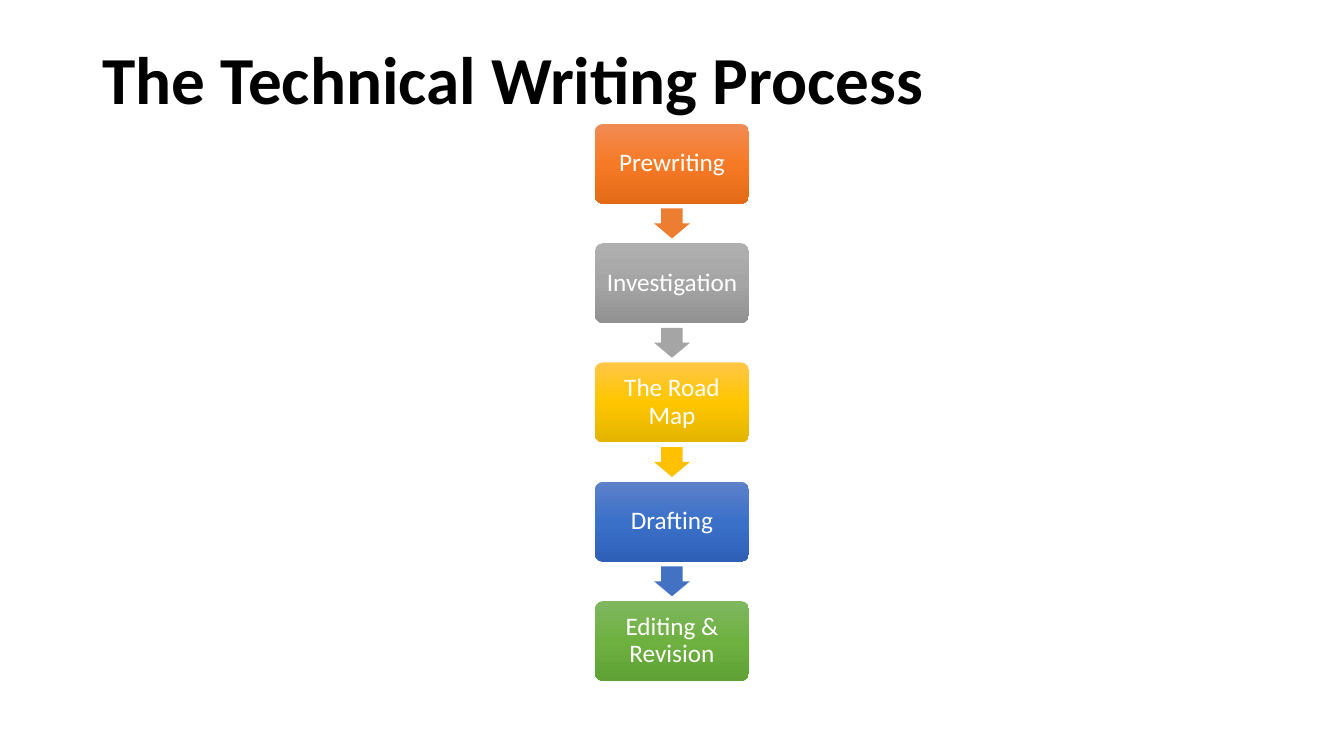
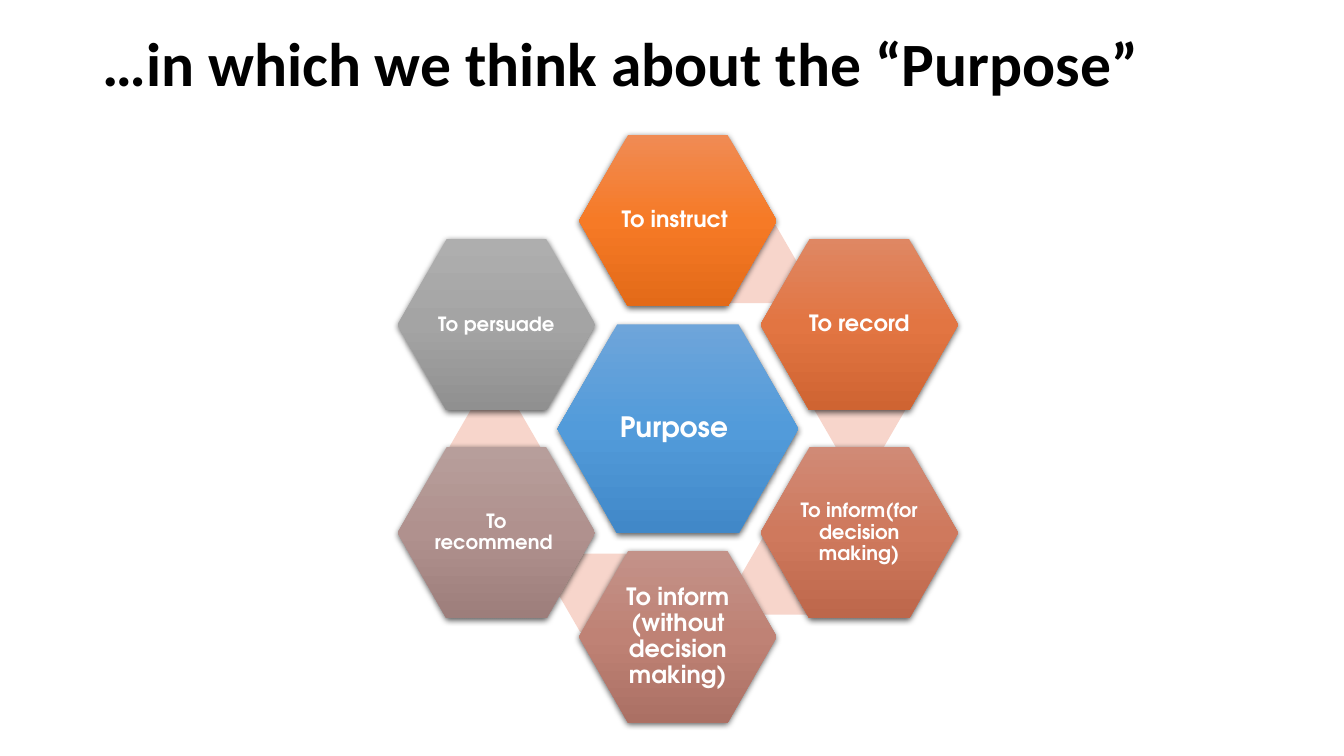
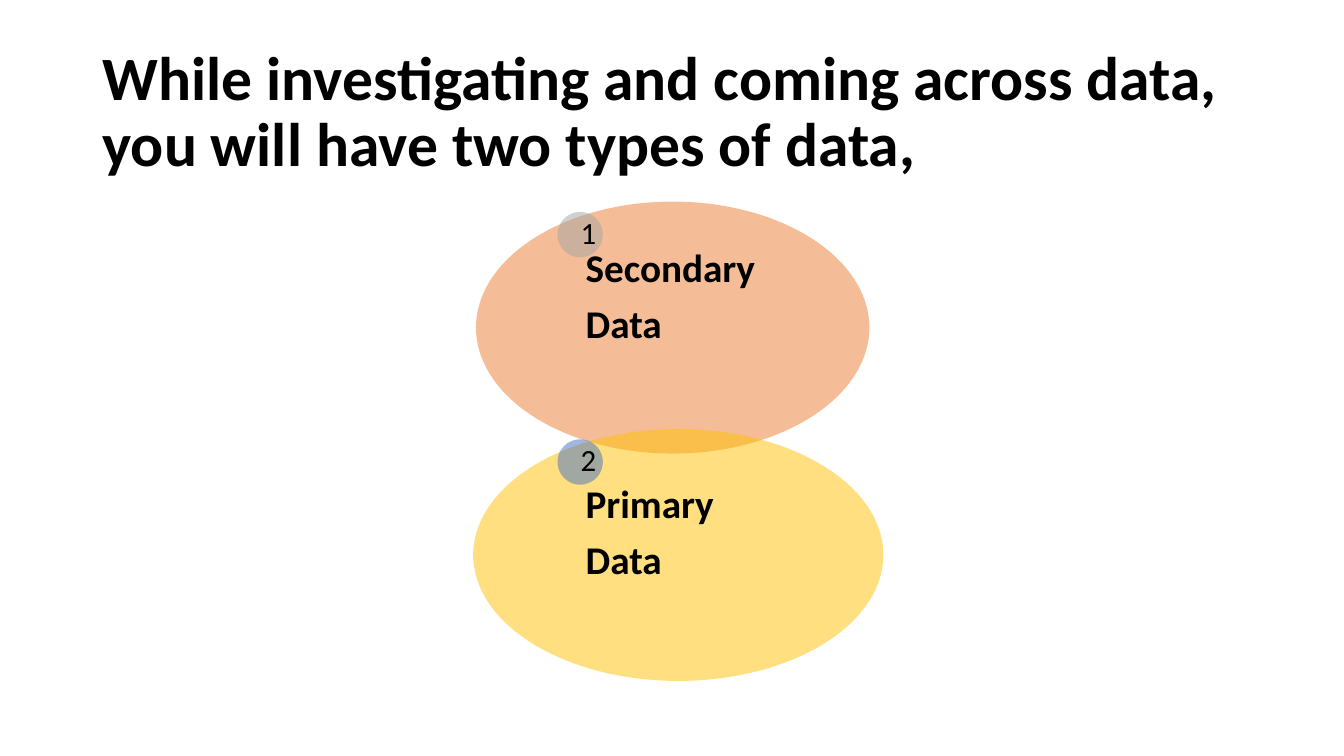
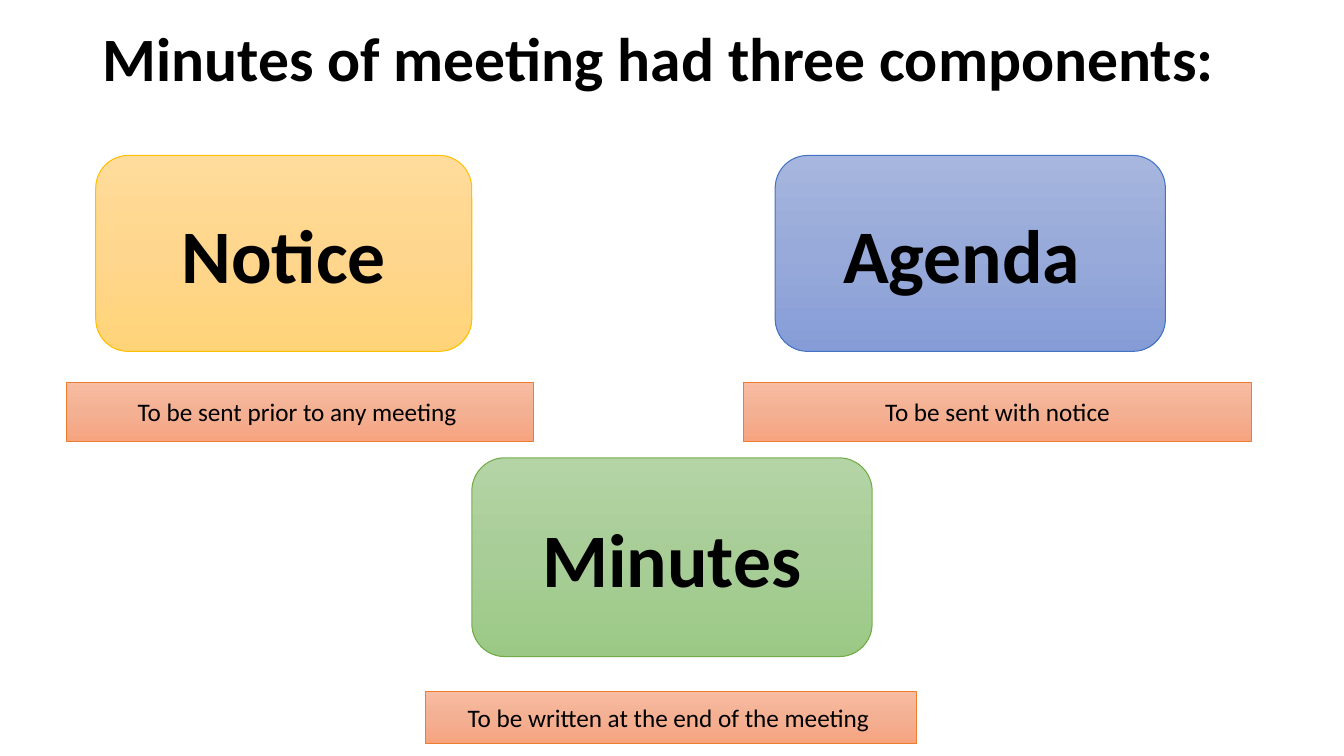
from copy import deepcopy

from lxml.etree import SubElement
from pptx import Presentation
from pptx.dml.color import RGBColor
from pptx.enum.shapes import MSO_SHAPE as Shape
from pptx.enum.text import MSO_ANCHOR as Anchor, MSO_AUTO_SIZE as AutoSize, PP_ALIGN as Align
from pptx.oxml.ns import qn
from pptx.util import Pt

WIDTH, HEIGHT = 960, 540
BLACK, WHITE = "000000", "FFFFFF"
ORANGE, GRAY, GOLD, BLUE, GREEN = "ED7D31", "A5A5A5", "FFC000", "4472C4", "70AD47"
ORANGE_SHADES = ("F08B54", "F67A26", "E36A18")
NOTE_SHADES = ("F7BCA2", "F4B093", "F7A47F")
LINK = "F7D5CB"


def rgb(value):
    return RGBColor.from_string(value)


class Deck:
    """Holds the shared style and the current slide."""
    font = "Calibri"
    diagram_font = "TeX Gyre Adventor"

    def __init__(self):
        self.presentation = Presentation()
        self.presentation.slide_width = Pt(WIDTH)
        self.presentation.slide_height = Pt(HEIGHT)
        self.slide = None

    def new_slide(self, title, top, height, size=44):
        layout = self.presentation.slide_layouts[5]
        self.slide = self.presentation.slides.add_slide(layout)
        shape = self.slide.shapes.title
        shape.left, shape.top, shape.width, shape.height = map(Pt, (66, top, 828, height))
        self.set_text(shape, title, size, bold=True, align=Align.LEFT, margins=(7.2, 3.6))

    def set_text(self, shape, text, size, color=BLACK, bold=False, align=Align.CENTER,
                 margins=(0, 0), spacing=0.9, gap=0, font=None):
        frame = shape.text_frame
        frame.text = text
        frame.word_wrap = True
        frame.auto_size = AutoSize.NONE
        frame.vertical_anchor = Anchor.MIDDLE
        frame.margin_left = frame.margin_right = Pt(margins[0])
        frame.margin_top = frame.margin_bottom = Pt(margins[1])
        for index, paragraph in enumerate(frame.paragraphs):
            paragraph.alignment = align
            paragraph.line_spacing = spacing
            paragraph.space_before = Pt(gap if index else 0)
            for run in paragraph.runs:
                run.font.name = font or self.font
                run.font.size = Pt(size)
                run.font.bold = bold
                run.font.color.rgb = rgb(color)

    def shape(self, kind, left, top, width, height, fill, line=None, alpha=None, adjust=()):
        """Adds a preset shape; fill is one colour or three from top to bottom."""
        shape = self.slide.shapes.add_shape(kind, *map(Pt, (left, top, width, height)))
        shape.shadow.inherit = False
        for index, value in enumerate(adjust):
            shape.adjustments[index] = value
        if isinstance(fill, str):
            shape.fill.solid()
            shape.fill.fore_color.rgb = rgb(fill)
        else:
            self.shade(shape, fill)
        if alpha is not None:
            color = shape._element.spPr.find(qn("a:solidFill"))[0]
            SubElement(color, qn("a:alpha"), val=str(alpha * 1000))
        if line:
            shape.line.color.rgb = rgb(line)
            shape.line.width = Pt(0.75)
        else:
            shape.line.fill.background()
        return shape

    def shade(self, shape, colors):
        shape.fill.gradient()
        shape.fill.gradient_angle = 270
        stops = shape._element.spPr.find(qn("a:gradFill")).find(qn("a:gsLst"))
        stops.insert(1, deepcopy(stops[0]))
        for stop, color, position in zip(shape.fill.gradient_stops, colors, (0, 0.5, 1)):
            stop.color.rgb = rgb(color)
            stop.position = position

    def text_box(self, text, left, top, width, height, size, **style):
        box = self.slide.shapes.add_textbox(*map(Pt, (left, top, width, height)))
        self.set_text(box, text, size, align=Align.LEFT, **style)

    def hexagon(self, center_x, center_y, width, height, fill, adjust=0.286):
        return self.shape(Shape.HEXAGON, center_x - width / 2, center_y - height / 2,
                          width, height, fill, adjust=(adjust,))

    def text_hexagon(self, text, center_x, center_y, width, height, fill, size):
        hexagon = self.hexagon(center_x, center_y, width, height, fill)
        effects = hexagon._element.spPr.find(qn("a:effectLst"))
        shadow = SubElement(effects, qn("a:outerShdw"), blurRad=str(Pt(4.5)),
                            dist=str(Pt(1.5)), dir="5400000", rotWithShape="0")
        SubElement(SubElement(shadow, qn("a:srgbClr"), val=BLACK), qn("a:alpha"), val="63000")
        self.set_text(hexagon, text, size, WHITE, bold=True, margins=(1.5, 1.5),
                      font=self.diagram_font)

    def panel(self, kind, text, left, top, width, height, fill, line, size, bold=False):
        panel = self.shape(kind, left, top, width, height, fill, line)
        self.set_text(panel, text, size, bold=bold, margins=(7.2, 3.6), spacing=1)


def process_slide(deck):
    deck.new_slide("The Technical Writing Process", 28.8, 60, size=48)
    steps = [
        ("Prewriting", ORANGE_SHADES, ORANGE),
        ("Investigation", ("AFAFAF", "A5A5A5", "919191"), GRAY),
        ("The Road Map", ("FFC647", "FFC600", "E3B400"), GOLD),
        ("Drafting", ("5E81C9", "3B70C9", "2E60B8"), "4372C3"),
        ("Editing & Revision", ("7FB75F", "6EB141", "5FA134"), None),
    ]
    width, height, pitch = 110, 57, 85.2
    arrow_width, arrow_height = 25.6, 21.4
    for index, (text, shades, arrow_color) in enumerate(steps):
        top = 88.5 + index * pitch
        step = deck.shape(Shape.ROUNDED_RECTANGLE, (WIDTH - width) / 2, top, width, height,
                          shades, adjust=(0.1,))
        deck.set_text(step, text, 18, WHITE, margins=(5, 5))
        if arrow_color:
            deck.shape(Shape.DOWN_ARROW, (WIDTH - arrow_width) / 2,
                       top + (height + pitch - arrow_height) / 2,
                       arrow_width, arrow_height, arrow_color, adjust=(0.6, 0.5))


def purpose_slide(deck):
    deck.new_slide("…in which we think about the “Purpose”", 28.8, 37.4)
    center_x, center_y = 484.2, 306.3
    # Connecting pieces behind the ring
    for x, y in [(537.8, 188.6), (614.2, 293), (561.6, 411.1), (430.6, 423.4), (353.5, 319)]:
        deck.hexagon(x, y, 64.8, 56, LINK, adjust=0.289)
    deck.text_hexagon("Purpose ", center_x, center_y, 172, 149,
                      ("6EA5DA", "529BDA", "4188C8"), 20)
    # Ring, clockwise from the top: column and row steps from the centre
    ring = [
        ("To instruct ", 0, -2, ORANGE_SHADES, 16),
        ("To record", 1, -1, ("DF8763", "E27542", "CF6432"), 16),
        ("To inform(for decision making)", 1, 1, ("D08A76", "CF795D", "BD674B"), 14),
        ("To inform (without decision making)", 0, 2, ("C39289", "BF8275", "AB7064"), 17),
        ("To recommend ", -1, 1, ("B79E9B", "B0918E", "9D7E7B"), 14),
        ("To persuade", -1, -1, ("AEAEAE", "A4A4A4", "909090"), 14),
    ]
    for text, column, row, shades, size in ring:
        deck.text_hexagon(text, center_x + column * 129.6, center_y + row * 74.3,
                          141.1, 122.4, shades, size)


def data_slide(deck):
    deck.new_slide("While investigating and coming across data, you will have two types of data,",
                   28.8, 104.4)
    kinds = [
        ("1", "Secondary\nData", 340, 281, 69, ORANGE, GRAY),
        ("2", "Primary\nData", 338, 293, 75, GOLD, "4372C3"),
    ]
    for index, (number, text, left, width, text_middle, color, dot_color) in enumerate(kinds):
        top = 144 + index * 162.4
        dot_top = top + 7.4
        deck.shape(Shape.OVAL, left, top, width, 180, color, alpha=50)
        deck.shape(Shape.OVAL, 398.2, dot_top, 32.4, 32.4, dot_color, alpha=50)
        deck.text_box(number, 414.7, dot_top, 173.5, 32.4, 22, margins=(0, 2))
        deck.text_box(text, 418.3, top + text_middle - 40, 173.5, 80, 28, bold=True, gap=9.8)


def minutes_slide(deck):
    deck.new_slide("Minutes of meeting had three components:", 15.8, 57)
    # Each component: card box, then the note below it
    components = [
        ("Notice", (68.4, 111, 268.6, 140), ("FFDC9B", "FFD68D", "FFD478"), GOLD,
         "To be sent prior to any meeting ", (47.5, 273, 333.5, 42.4)),
        ("Agenda ", (553.7, 111, 278.8, 140), ("A6B6DE", "98AAD9", "859CD7"), BLUE,
         "To be sent with notice", (531, 273, 363, 42.4)),
        ("Minutes", (337, 327, 286, 142), ("B4D4A5", "A8CD97", "9BC985"), GREEN,
         "To be written at the end of the meeting ", (304, 494, 351, 37.4)),
    ]
    for name, card_box, shades, line, note, note_box in components:
        deck.panel(Shape.ROUNDED_RECTANGLE, name, *card_box, shades, line, 54, bold=True)
        deck.panel(Shape.RECTANGLE, note, *note_box, NOTE_SHADES, ORANGE, 18)


def main():
    deck = Deck()
    process_slide(deck)
    purpose_slide(deck)
    data_slide(deck)
    minutes_slide(deck)
    deck.presentation.save("out.pptx")


if __name__ == "__main__":
    main()
